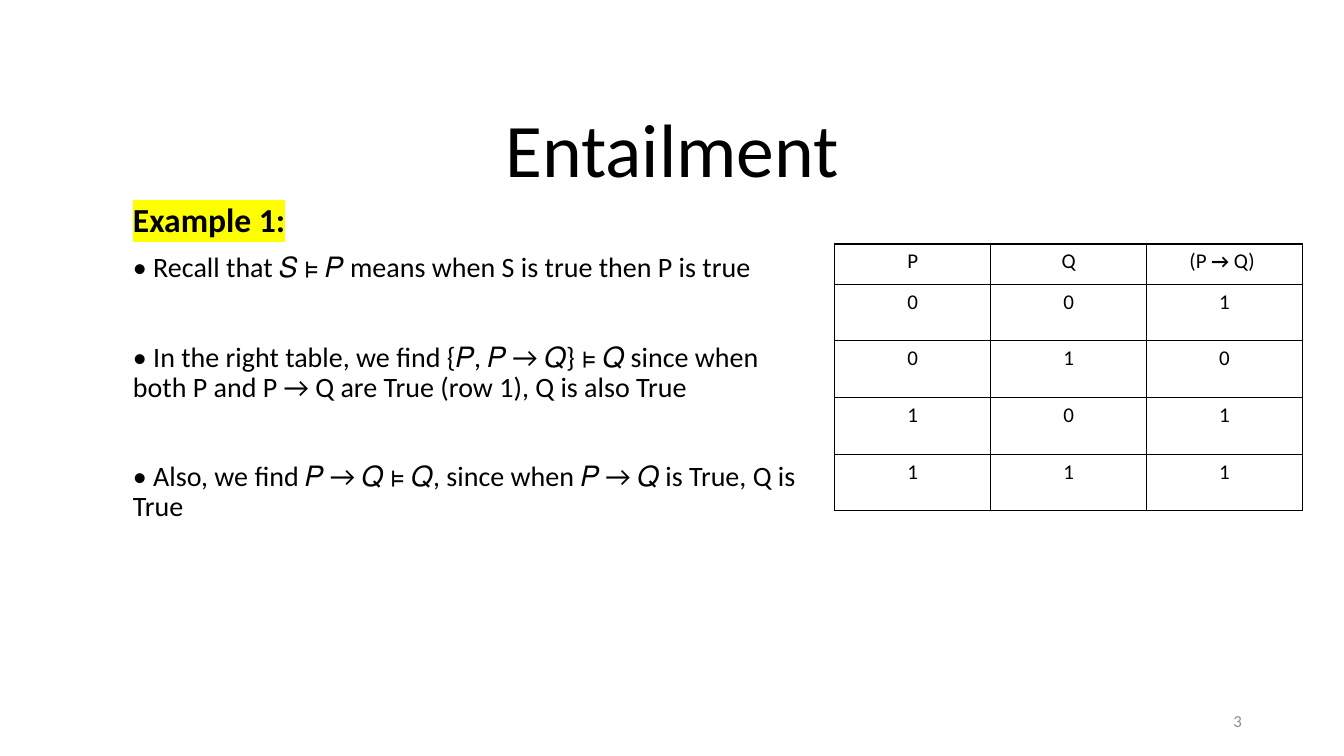
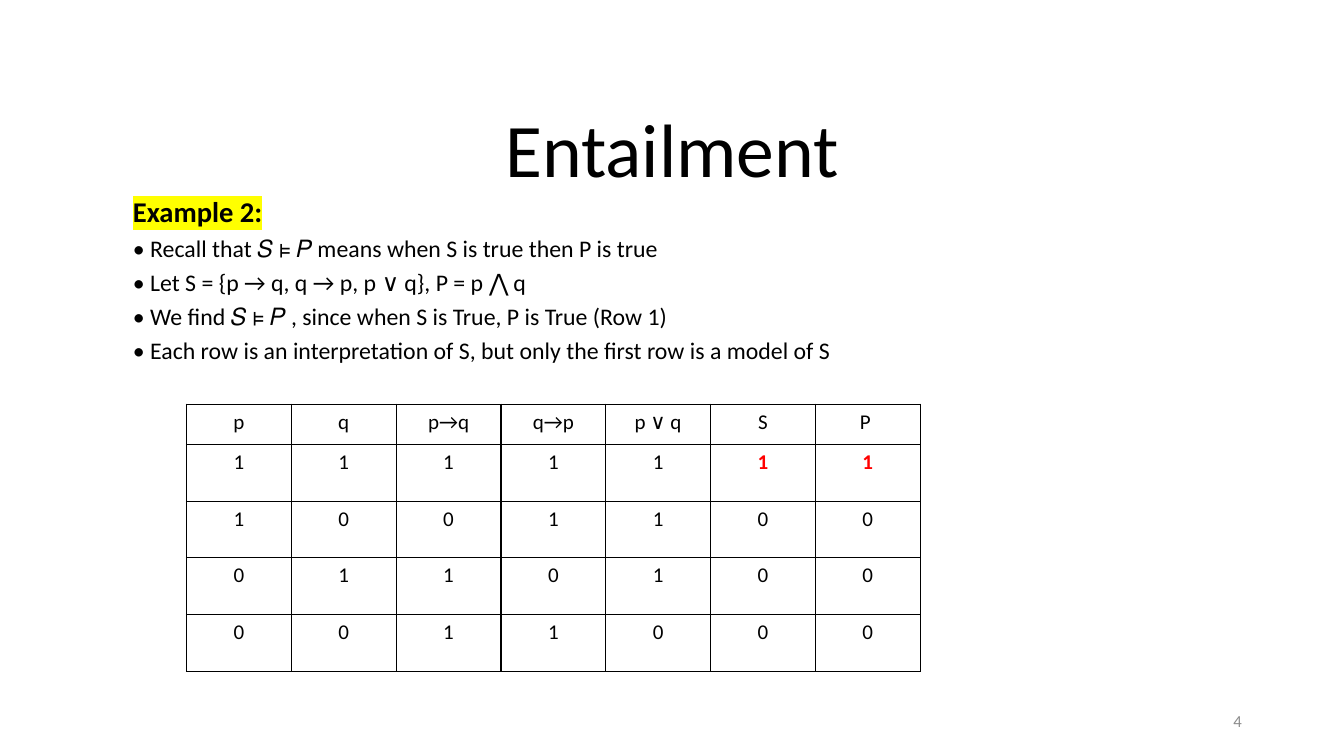
from lxml.etree import SubElement
from pptx import Presentation
from pptx.dml.color import RGBColor
from pptx.enum.text import MSO_ANCHOR, MSO_AUTO_SIZE, PP_ALIGN
from pptx.oxml import parse_xml
from pptx.oxml.ns import nsdecls, qn
from pptx.util import Inches, Pt

WIDTH, HEIGHT = Inches(13.33), Inches(7.5)
FONT, BLACK, RED, GREY, YELLOW = "Calibri", "000000", "FF0000", "8C8C8C", "FFFF00"
TITLE_BOX = (12.5, 16.4, 75, 9.87)
NUMBER_BOX = (70.65, 92.67, 22.5, 5.33)
BODY_LEFT, BODY_TOP = 9.15, 26.27
HEADER_H, ROW_H = 5.33, 7.5
RECALL = "• Recall that 𝑆 ⊧ 𝑃 means when S is true then P is true"


def rgb(color):
    """Turn a hex string into a colour."""
    return RGBColor.from_string(color)


def box(x, y, w, h):
    """Turn percentages of the slide into left, top, width and height."""
    return [int(size * share / 100) for size, share in
            zip((WIDTH, HEIGHT, WIDTH, HEIGHT), (x, y, w, h))]


def add_run(p, text, size, color=BLACK, bold=False, highlight=None):
    """Add one formatted run to a paragraph."""
    r = p.add_run()
    r.text = text
    r.font.size, r.font.bold, r.font.name = Pt(size), bold, FONT
    r.font.color.rgb = rgb(color)
    if highlight:
        fill = r.font._element.find(qn("a:solidFill"))
        fill.addnext(parse_xml(f'<a:highlight {nsdecls("a")}>'
                               f'<a:srgbClr val="{highlight}"/></a:highlight>'))


def add_title(s, text):
    """Place and format the title placeholder."""
    title = s.shapes.title
    title.left, title.top, title.width, title.height = box(*TITLE_BOX)
    tf = title.text_frame
    tf.auto_size, tf.word_wrap = MSO_AUTO_SIZE.NONE, True
    tf.vertical_anchor = MSO_ANCHOR.BOTTOM
    p = tf.paragraphs[0]
    p.alignment, p.line_spacing = PP_ALIGN.CENTER, 0.9
    add_run(p, text, 54)


def add_number(s, number):
    """Add the grey slide number."""
    tf = s.shapes.add_textbox(*box(*NUMBER_BOX)).text_frame
    tf.word_wrap, tf.vertical_anchor = True, MSO_ANCHOR.MIDDLE
    p = tf.paragraphs[0]
    p.alignment = PP_ALIGN.RIGHT
    add_run(p, str(number), 12, GREY)


def add_body(s, heading, points, w, h, size, spacing, gap):
    """Add the highlighted heading and its points, set gap points apart."""
    tf = s.shapes.add_textbox(*box(BODY_LEFT, BODY_TOP, w, h)).text_frame
    tf.word_wrap = True
    for i, text in enumerate([heading] + points):
        p = tf.add_paragraph() if i else tf.paragraphs[0]
        p.line_spacing = spacing
        p.space_before = Pt(gap if i > 1 else 10)
        if i:
            add_run(p, text, size)
        else:
            add_run(p, text, size * 1.2, bold=True, highlight=YELLOW)


def add_borders(cell):
    """Draw thin black lines on all sides of a cell."""
    tc_pr = cell._tc.get_or_add_tcPr()
    for i, side in enumerate(("lnL", "lnR", "lnT", "lnB")):
        ln = parse_xml(f'<a:{side} {nsdecls("a")} w="{Pt(1)}"/>')
        fill = SubElement(ln, qn("a:solidFill"))
        SubElement(fill, qn("a:srgbClr"), val=BLACK)
        tc_pr.insert(i, ln)


def add_truth_table(s, x, y, w, rows):
    """Add a truth table whose cells are lists of (text, style) or plain text."""
    n_cols = len(rows[0])
    h = HEADER_H + ROW_H * (len(rows) - 1)
    table = s.shapes.add_table(len(rows), n_cols, *box(x, y, w, h)).table
    table.first_row = table.horz_banding = False
    for i, row in enumerate(rows):
        table.rows[i].height = int(HEIGHT * (ROW_H if i else HEADER_H) / 100)
        for j, content in enumerate(row):
            cell = table.cell(i, j)
            cell.fill.background()
            add_borders(cell)
            p = cell.text_frame.paragraphs[0]
            p.alignment = PP_ALIGN.CENTER
            runs = [(content, {})] if isinstance(content, str) else content
            for text, style in runs:
                add_run(p, text, **{"size": 15, **style})


def add_slide(prs, number):
    """Add a slide with the shared title and number."""
    s = prs.slides.add_slide(prs.slide_layouts[5])
    add_title(s, "Entailment")
    add_number(s, number)
    return s


def add_example_1(prs):
    """Build the slide on the implication table."""
    s = add_slide(prs, 3)
    points = [
        RECALL,
        "• In the right table, we find {𝑃, 𝑃 → 𝑄} ⊧ 𝑄 since when both P and "
        "P → Q are True (row 1), Q is also True",
        "• Also, we find 𝑃 → 𝑄 ⊧ 𝑄, since when 𝑃 → 𝑄 is True, Q is True",
    ]
    add_body(s, "Example 1:", points, 51.6, 59.2, size=20, spacing=0.9, gap=42)
    implies = [("(P ", {}), ("→", {"size": 14, "bold": True}), (" Q) ", {})]
    add_truth_table(s, 62.11, 32.27, 34.8,
                    [["P", "Q", implies], "001", "010", "101", "111"])


def add_example_2(prs):
    """Build the slide on models of a set of sentences."""
    s = add_slide(prs, 4)
    points = [
        RECALL,
        "• Let S = {p → q, q → p, p ∨ q}, P = p ⋀ q",
        "• We find 𝑆 ⊧ 𝑃 , since when S is True, P is True (Row 1)",
        "• Each row is an interpretation of S, but only the first row is a model of S",
    ]
    add_body(s, "Example 2:", points, 62.56, 23.73, size=17, spacing=0.7, gap=10)
    true = [("1", {"color": RED, "bold": True})]
    add_truth_table(s, 13.88, 53.47, 54.6, [
        ["p", "q", "p→q", "q→p", "p ∨ q", "S", "P "],
        [*"11111", true, true], "1001100", "0110100", "0011000"])


def main():
    """Build and save the presentation."""
    prs = Presentation()
    prs.slide_width, prs.slide_height = WIDTH, HEIGHT
    add_example_1(prs)
    add_example_2(prs)
    prs.save("out.pptx")


if __name__ == "__main__":
    main()
